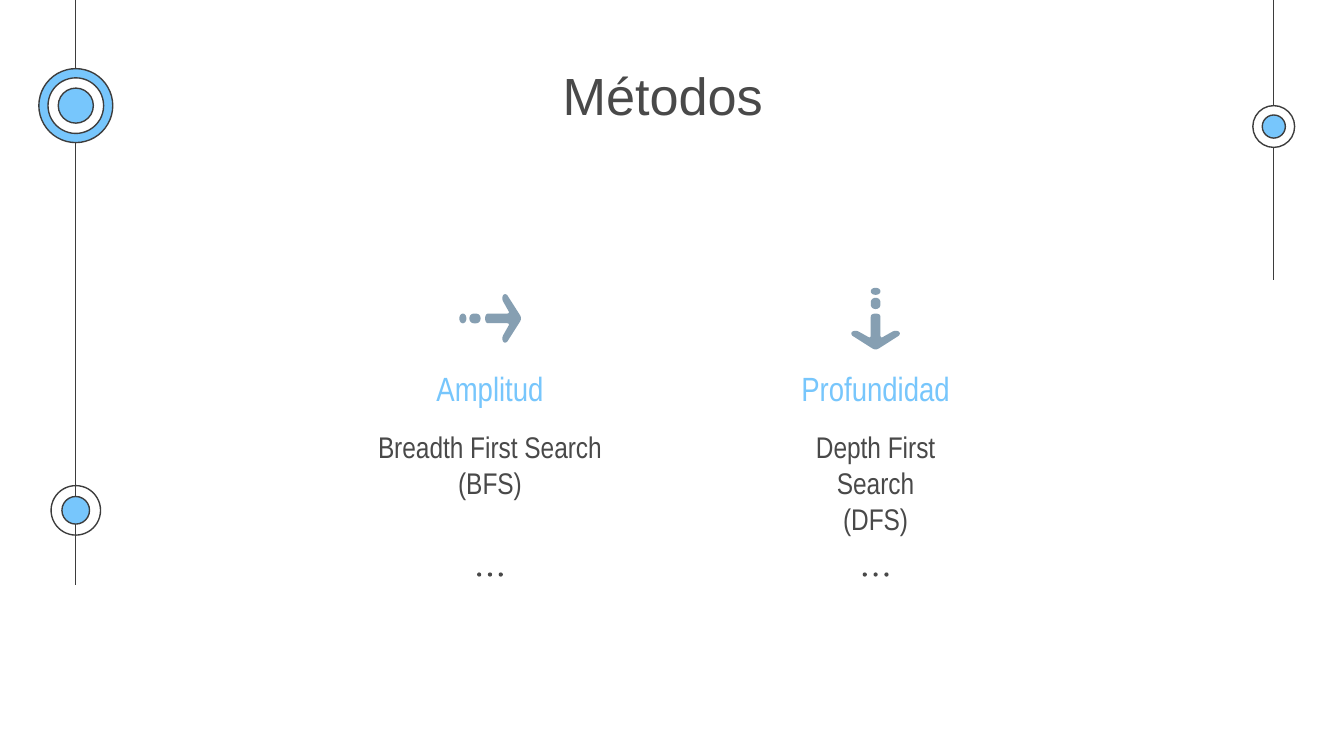
from collections import namedtuple
from dataclasses import dataclass

from lxml.etree import SubElement
from pptx import Presentation
from pptx.dml.color import RGBColor as Rgb
from pptx.enum.shapes import MSO_CONNECTOR as Link, MSO_SHAPE as Kind
from pptx.enum.text import MSO_ANCHOR as Anchor, MSO_AUTO_SIZE as Fit, PP_ALIGN as Align
from pptx.oxml.ns import qn
from pptx.util import Pt

Box = namedtuple("Box", "x y w h")
Ring = namedtuple("Ring", "y size fill")


@dataclass(frozen=True)
class Theme:
    """Colours, fonts and type sizes of the slide."""
    ink: Rgb = Rgb.from_string("494949")
    edge: Rgb = Rgb.from_string("3D3D3D")
    sky: Rgb = Rgb.from_string("77C6FC")
    steel: Rgb = Rgb.from_string("869FB2")
    white: Rgb = Rgb.from_string("FFFFFF")
    wide: str = "Arial"
    slim: str = "Arial Narrow"
    title: float = 28
    head: float = 18
    body: float = 16
    line: float = 0.75


LOOK = Theme()


def paint(shape, fill, edge=None):
    """Set fill and outline, and drop the shadow."""
    shape.shadow.inherit = False
    if fill is None:
        shape.fill.background()
    else:
        shape.fill.solid()
        shape.fill.fore_color.rgb = fill
    if edge is None:
        shape.line.fill.background()
    else:
        shape.line.color.rgb = edge
        shape.line.width = Pt(LOOK.line)


def disc(slide, x, y, size, fill, edge=None):
    """Draw a circle around the point x, y."""
    half = size / 2
    shape = slide.shapes.add_shape(Kind.OVAL, Pt(x - half), Pt(y - half), Pt(size), Pt(size))
    paint(shape, fill, edge)


def write(holder, box, text, font, size, color):
    """Move a placeholder to its box and fill it with centred text."""
    holder.left, holder.top, holder.width, holder.height = map(Pt, box)
    frame = holder.text_frame
    frame.text = text
    frame.word_wrap = True
    frame.auto_size = Fit.NONE
    frame.vertical_anchor = Anchor.TOP
    frame.margin_left = frame.margin_right = Pt(7.2)
    frame.margin_top = frame.margin_bottom = Pt(7.2)
    for para in frame.paragraphs:
        para.alignment = Align.CENTER
        para.line_spacing = 1.0
        para.space_before = para.space_after = Pt(0)
        props = para._p.get_or_add_pPr()
        props.set("marL", "0")
        props.set("indent", "0")
        SubElement(props, qn("a:buNone"))
        for run in para.runs:
            run.font.name = font
            run.font.size = Pt(size)
            run.font.bold = False
            run.font.color.rgb = color


def rail(slide, box, rings):
    """Draw a vertical line down the middle of the box with rings on it."""
    mid = box.x + box.w / 2
    line = slide.shapes.add_connector(
        Link.STRAIGHT, Pt(mid), Pt(box.y), Pt(mid), Pt(box.y + box.h))
    line.line.color.rgb = LOOK.edge
    line.line.width = Pt(LOOK.line)
    SubElement(line._element.spPr, qn("a:effectLst"))
    for ring in rings:
        disc(slide, mid, box.y + ring.y, ring.size, ring.fill, LOOK.edge)


def curve(a, b, c, d, steps=10):
    """Return points along a cubic curve."""
    def at(t):
        u = 1 - t
        parts = (u ** 3, 3 * u * u * t, 3 * u * t * t, t ** 3)
        return tuple(sum(k * p[i] for k, p in zip(parts, (a, b, c, d))) for i in (0, 1))
    return [at(n / steps) for n in range(steps + 1)]


def arrow_head():
    """Return the arrow outline, pointing right around its centre."""
    half = (
        curve((-2.6, 0), (-2.6, -1.6), (-2, -2.6), (-0.8, -2.6))
        + curve((9.2, -2.6), (10, -2.6), (10.4, -3.2), (10, -3.8))
        + curve((7.2, -8.8), (6.4, -10), (6.5, -11.8), (7.2, -12.6))
        + curve((7.2, -12.6), (7.8, -13.2), (8.9, -13), (9.4, -12.2))
        + curve((15.8, -2.2), (16.4, -1.2), (16.6, -0.6), (16.6, 0))
    )
    return half + [(x, -y) for x, y in reversed(half)]


def dash(left, right, bulge=3.2, half=2.6):
    """Return the outline of a round dash."""
    return (
        curve((left, half), (left - bulge, half), (left - bulge, -half), (left, -half))
        + curve((right, -half), (right + bulge, -half), (right + bulge, half), (right, half))
    )


def arrow(slide, x, y, down):
    """Draw a dashed arrow around x, y that points right or down."""
    for path in (arrow_head(), dash(-8.6, -7.4), dash(-14.5, -14.5, 2.5)):
        turned = [(-b, a) if down else (a, b) for a, b in path]
        spots = [(Pt(x + a), Pt(y + b)) for a, b in turned]
        pen = slide.shapes.build_freeform(*spots[0], scale=1.0)
        pen.add_line_segments(spots[1:], close=True)
        paint(pen.convert_to_shape(), LOOK.steel)


def method(slide, box, head, body, name, text, down):
    """Place one method: arrow, name, text and three dots."""
    mid = box.x + box.w / 2
    arrow(slide, mid, box.y + 16.6, down)
    write(head, Box(box.x, box.y + 36, box.w, 26), name, LOOK.slim, LOOK.head, LOOK.sky)
    write(body, Box(box.x, box.y + 68.5, box.w, 85), text, LOOK.slim, LOOK.body, LOOK.ink)
    for step in (-1, 0, 1):
        disc(slide, mid + step * 5.8, box.y + 153.8, 2.2, LOOK.ink)


def main():
    """Build the slide and save it."""
    deck = Presentation()
    deck.slide_width, deck.slide_height = Pt(720), Pt(405)
    slide = deck.slides.add_slide(deck.slide_layouts[4])
    slide.background.fill.solid()
    slide.background.fill.fore_color.rgb = LOOK.white
    title, *slots = slide.placeholders
    rail(slide, Box(20.8, 0, 39.6, 313.2), [
        Ring(56.6, 39.6, LOOK.sky), Ring(56.6, 29.8, LOOK.white), Ring(56.6, 18.8, LOOK.sky),
        Ring(273.4, 26.5, None), Ring(273.4, 14.8, LOOK.sky)])
    rail(slide, Box(671.2, 0, 22.4, 149.8), [
        Ring(67.8, 22.4, LOOK.white), Ring(67.8, 12.4, LOOK.sky)])
    write(title, Box(135.4, 26.6, 439.2, 46.8), "Métodos", LOOK.wide, LOOK.title, LOOK.ink)
    method(slide, Box(193, 154, 139, 155), *slots[:2],
           "Amplitud", "Breadth First Search\n(BFS)", False)
    method(slide, Box(399.6, 154, 139, 155), *slots[2:],
           "Profundidad", "Depth First\nSearch\n(DFS)", True)
    deck.save("out.pptx")


if __name__ == "__main__":
    main()
